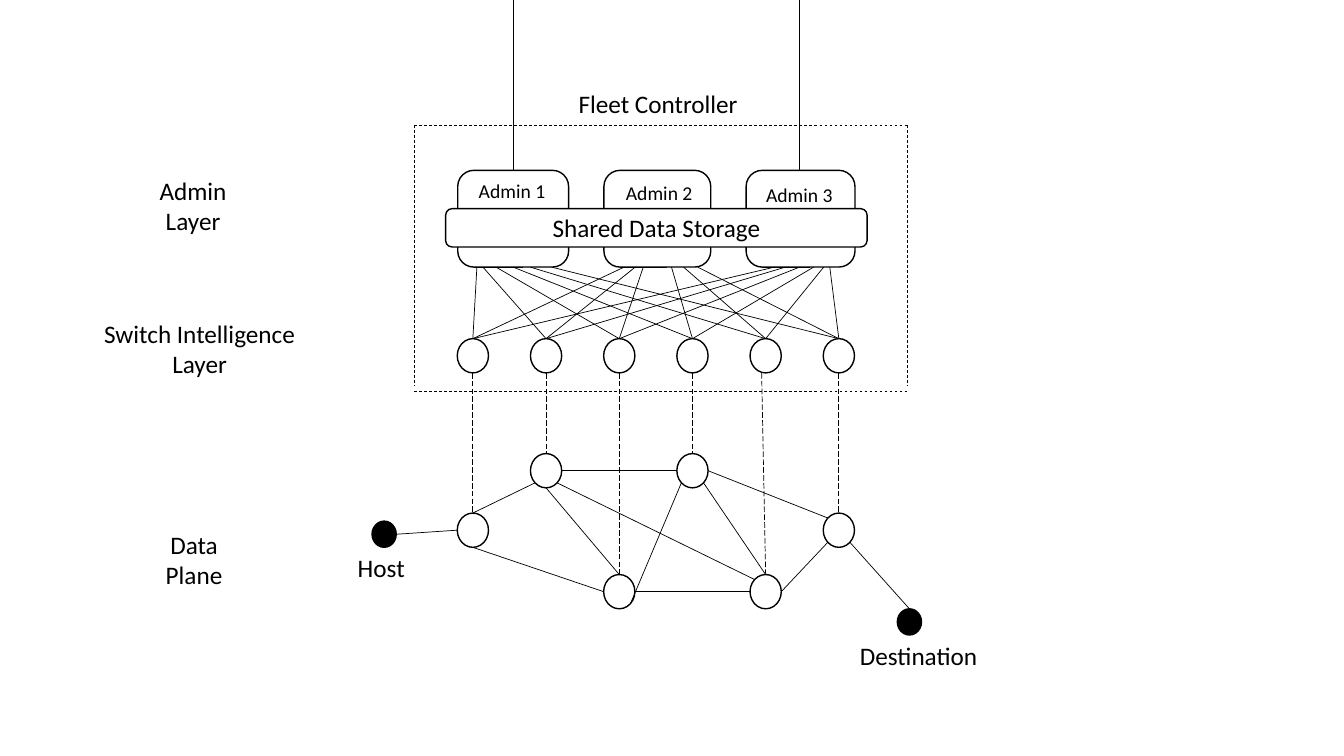
from dataclasses import dataclass
from enum import Enum

import lxml.etree
import pptx
import pptx.dml.color
import pptx.enum.dml
import pptx.enum.shapes
import pptx.enum.text
import pptx.oxml.ns
import pptx.util

Inches = pptx.util.Inches
Point = tuple[float, float]
Preset = pptx.enum.shapes.MSO_SHAPE
Dash = pptx.enum.dml.MSO_LINE
Align = pptx.enum.text.PP_ALIGN

BLACK = pptx.dml.color.RGBColor(0x00, 0x00, 0x00)
WHITE = pptx.dml.color.RGBColor(0xFF, 0xFF, 0xFF)
FONT = "Calibri"


class Site(Enum):
    """Place on the rim of a node, as shares of its half width and height."""
    TOP = (0, -1)
    BOTTOM = (0, 1)
    LEFT = (-1, 0)
    RIGHT = (1, 0)
    UPPER_LEFT = (-0.71, -0.71)
    LOWER_LEFT = (-0.71, 0.71)
    LOWER_RIGHT = (0.71, 0.71)


@dataclass(frozen=True)
class Node:
    """Round node given by its centre."""
    x: float
    y: float
    width: float = 0.31
    height: float = 0.34
    fill: pptx.dml.color.RGBColor = WHITE

    def at(self, site: Site) -> Point:
        """Return the point of a rim site."""
        across, down = site.value
        return self.x + across * self.width / 2, self.y + down * self.height / 2


@dataclass(frozen=True)
class Admin:
    """Admin box, its label place and where its six lines leave it."""
    name: str
    left: float
    width: float
    label_left: float
    label_top: float
    line_starts: tuple[float, ...]


@dataclass(frozen=True)
class Label:
    """Free text; every entry of lines is one paragraph."""
    lines: tuple[str, ...]
    left: float
    top: float
    width: float
    height: float = 0.4
    size: int = 18
    align: Align = Align.LEFT


ADMIN_TOP, ADMIN_HEIGHT = 1.69, 0.96
ADMINS = (
    Admin("Admin 1", 4.54, 1.10, 4.65, 1.73, (4.73, 4.79, 4.92, 5.09, 5.26, 5.47)),
    Admin("Admin 2", 5.99, 1.06, 6.11, 1.75, (6.19, 6.30, 6.38, 6.66, 6.78, 6.92)),
    Admin("Admin 3", 7.40, 1.08, 7.50, 1.77, (7.68, 7.79, 7.93, 8.07, 8.17, 8.23)),
)
FIRST_X, LAST_X = 4.69, 8.32
COLUMNS = [FIRST_X + i * (LAST_X - FIRST_X) / 5 for i in range(6)]
SWITCHES = [Node(x, 3.53) for x in COLUMNS]
MIDDLE, UPPER, LOWER = 5.26, 4.67, 5.87
PLANE = [Node(x, y) for x, y in
         zip(COLUMNS, (MIDDLE, UPPER, LOWER, UPPER, LOWER, MIDDLE))]
HOST = Node(3.81, 5.30, 0.24, 0.26, BLACK)
DESTINATION = Node(9.02, 6.17, 0.24, 0.26, BLACK)
LINKS = (
    (HOST, Site.RIGHT, PLANE[0], Site.LEFT),
    (PLANE[0], Site.TOP, PLANE[1], Site.LOWER_LEFT),
    (PLANE[0], Site.BOTTOM, PLANE[2], Site.LEFT),
    (PLANE[1], Site.RIGHT, PLANE[3], Site.LEFT),
    (PLANE[1], Site.BOTTOM, PLANE[2], Site.TOP),
    (PLANE[1], Site.LOWER_RIGHT, PLANE[4], Site.UPPER_LEFT),
    (PLANE[2], Site.RIGHT, PLANE[4], Site.LEFT),
    (PLANE[3], Site.LOWER_LEFT, PLANE[2], Site.LOWER_RIGHT),
    (PLANE[3], Site.LOWER_RIGHT, PLANE[4], Site.TOP),
    (PLANE[3], Site.RIGHT, PLANE[5], Site.UPPER_LEFT),
    (PLANE[4], Site.RIGHT, PLANE[5], Site.LOWER_LEFT),
    (PLANE[5], Site.LOWER_RIGHT, DESTINATION, Site.TOP),
)
CONTROL_SHIFTS = (0, 0, 0, 0, -0.04, 0)
FRAME = (
    ((4.11, 1.24), (9.02, 1.24)),
    ((4.11, 1.24), (4.11, 3.82)),
    ((9.00, 1.24), (9.00, 3.82)),
    ((4.11, 3.88), (9.02, 3.88)),
)
LABELS = (
    Label(("Fleet Controller",), 5.64, 0.83, 1.8),
    Label(("Admin", "Layer"), 1.48, 1.69, 0.87, 0.71, align=Align.CENTER),
    Label(("Switch Intelligence", "Layer"), 0.91, 3.11, 2.14, 0.71, align=Align.CENTER),
    Label(("Data", "Plane"), 1.54, 5.2, 0.77, 0.71, align=Align.CENTER),
    Label(("Host",), 3.45, 5.43, 0.67),
    Label(("Destination",), 8.43, 6.3, 1.38),
    *(Label((admin.name,), admin.label_left, admin.label_top, 0.87, 0.34, 14)
      for admin in ADMINS),
)


def add_outlined(slide, preset: Preset, left: float, top: float, width: float,
                 height: float, fill=WHITE):
    """Add a filled preset shape with a black outline."""
    shape = slide.shapes.add_shape(
        preset, Inches(left), Inches(top), Inches(width), Inches(height))
    shape.shadow.inherit = False
    shape.fill.solid()
    shape.fill.fore_color.rgb = fill
    shape.line.color.rgb = BLACK
    shape.line.width = pptx.util.Pt(1)
    return shape


def add_node(slide, node: Node) -> None:
    """Draw a round node around its centre."""
    add_outlined(slide, Preset.OVAL, node.x - node.width / 2,
                 node.y - node.height / 2, node.width, node.height, node.fill)


def add_line(slide, start: Point, end: Point, dash=None) -> None:
    """Draw a thin black line, dashed on request."""
    connector = slide.shapes.add_connector(
        pptx.enum.shapes.MSO_CONNECTOR.STRAIGHT,
        *(Inches(value) for value in (*start, *end)))
    connector.line.color.rgb = BLACK
    connector.line.width = pptx.util.Pt(0.5)
    if dash is not None:
        connector.line.dash_style = dash
    lxml.etree.SubElement(connector._element.spPr, pptx.oxml.ns.qn("a:effectLst"))


def write_lines(text_frame, lines: tuple[str, ...], size: int, align: Align) -> None:
    """Fill a text frame with one paragraph per line."""
    text_frame.text = "\n".join(lines)
    for paragraph in text_frame.paragraphs:
        paragraph.alignment = align
        paragraph.font.name = FONT
        paragraph.font.size = pptx.util.Pt(size)
        paragraph.font.color.rgb = BLACK


def add_label(slide, label: Label) -> None:
    """Add a free text label that does not wrap."""
    box = slide.shapes.add_textbox(Inches(label.left), Inches(label.top),
                                   Inches(label.width), Inches(label.height))
    box.text_frame.word_wrap = False
    write_lines(box.text_frame, label.lines, label.size, label.align)


def main() -> None:
    """Build the layered network slide and save it."""
    presentation = pptx.Presentation()
    presentation.slide_width = Inches(13.33)
    presentation.slide_height = Inches(7.5)
    slide = presentation.slides.add_slide(presentation.slide_layouts[6])

    for node in (*SWITCHES, *PLANE, HOST, DESTINATION):
        add_node(slide, node)
    for admin in ADMINS:
        add_outlined(slide, Preset.ROUNDED_RECTANGLE, admin.left, ADMIN_TOP,
                     admin.width, ADMIN_HEIGHT)
    for start, end in FRAME:
        add_line(slide, start, end, Dash.DASH)
    storage = add_outlined(slide, Preset.ROUNDED_RECTANGLE, 4.42, 2.07, 4.18, 0.38)
    write_lines(storage.text_frame, ("Shared Data Storage",), 18, Align.CENTER)

    for admin in ADMINS:
        for start_x, switch in zip(admin.line_starts, SWITCHES):
            add_line(slide, (start_x, ADMIN_TOP + ADMIN_HEIGHT), switch.at(Site.TOP))
    for source, source_site, target, target_site in LINKS:
        add_line(slide, source.at(source_site), target.at(target_site))
    for switch, node, shift in zip(SWITCHES, PLANE, CONTROL_SHIFTS):
        x, y = switch.at(Site.BOTTOM)
        add_line(slide, (x + shift, y), node.at(Site.TOP), Dash.LONG_DASH)
    for uplink_x in (5.09, 7.93):
        add_line(slide, (uplink_x, 0), (uplink_x, ADMIN_TOP))
    for label in LABELS:
        add_label(slide, label)

    presentation.save("out.pptx")


main()
